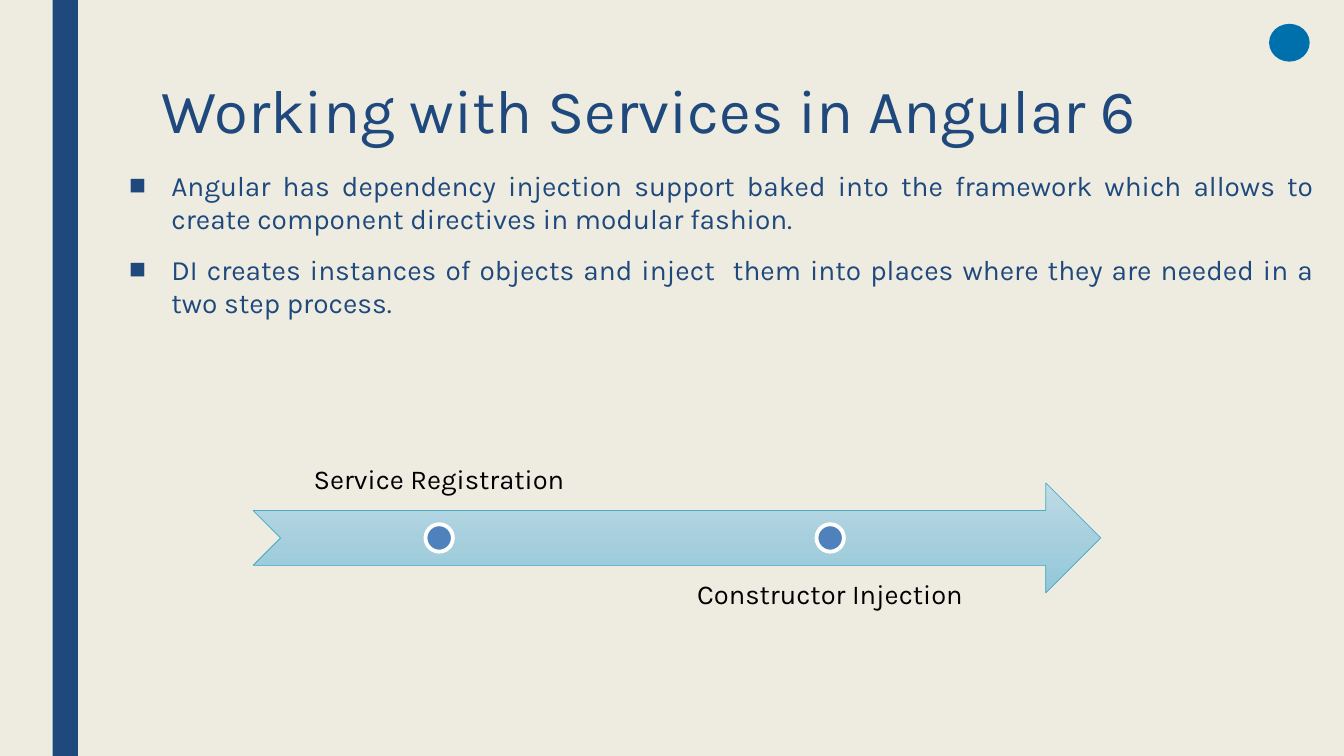
from copy import deepcopy

from lxml import etree
from pptx import Presentation
from pptx.dml.color import RGBColor
from pptx.enum import shapes, text
from pptx.oxml.ns import qn
from pptx.util import Pt

FONT = "Karla"
NAVY = "1F497D"
POINTS = [
    "Angular has dependency injection support baked into the framework "
    "which allows to create component directives in modular fashion.",
    "DI creates instances of objects and inject  them into places where "
    "they are needed in a two step process.",
]
ARROW_TOP, ARROW_HEIGHT = 345, 78.5
ARROW_COLORS = ("C0DCE7", "A7CFDD", "92C8DA")
# Step, centre of its marker, top and anchor of its label
STEPS = [
    ("Service Registration", 313.7, 286, text.MSO_ANCHOR.BOTTOM),
    ("Constructor Injection", 593, 404, text.MSO_ANCHOR.TOP),
]


def rgb(value):
    return RGBColor.from_string(value)


def place(shape, left, top, width, height):
    shape.left, shape.top = Pt(left), Pt(top)
    shape.width, shape.height = Pt(width), Pt(height)


def style(paragraph, size, color, align):
    paragraph.font.name = FONT
    paragraph.font.size = Pt(size)
    paragraph.font.color.rgb = rgb(color)
    paragraph.alignment = align


def add_shape(slide, kind, box, fill=None, line=None, line_width=0):
    shape = slide.shapes.add_shape(kind, *map(Pt, box))
    shape.shadow.inherit = False
    if fill:
        shape.fill.solid()
        shape.fill.fore_color.rgb = rgb(fill)
    if line:
        shape.line.color.rgb = rgb(line)
        shape.line.width = Pt(line_width)
    else:
        shape.line.fill.background()
    return shape


def add_bullet(paragraph, indent):
    """Give the paragraph a square bullet with a hanging indent."""
    props = paragraph._p.get_or_add_pPr()
    props.set("marL", str(Pt(indent)))
    props.set("indent", str(-Pt(indent)))
    etree.SubElement(props, qn("a:buFont")).set("typeface", "Arial")
    etree.SubElement(props, qn("a:buChar")).set("char", "■")


def fill_title(title, wording):
    place(title, 108, 54, 756, 116.5)
    frame = title.text_frame
    frame.text = wording
    frame.auto_size = text.MSO_AUTO_SIZE.NONE
    frame.vertical_anchor = text.MSO_ANCHOR.TOP
    style(frame.paragraphs[0], 44, NAVY, text.PP_ALIGN.LEFT)
    frame.paragraphs[0].line_spacing = 0.89


def fill_body(body, points):
    place(body, 85, 116.5, 861, 366)
    frame = body.text_frame
    frame.text = "\n".join(points)
    frame.auto_size = text.MSO_AUTO_SIZE.NONE
    for paragraph in frame.paragraphs:
        style(paragraph, 20, NAVY, text.PP_ALIGN.JUSTIFY)
        paragraph.space_before, paragraph.space_after = Pt(10), Pt(2)
        add_bullet(paragraph, 30.2)


def fill_gradient(shape, colors):
    """Spread the colours evenly from top to bottom."""
    shape.fill.gradient()
    shape.fill.gradient_angle = 270
    stops = shape._element.spPr.find(qn("a:gradFill")).find(qn("a:gsLst"))
    while len(stops) < len(colors):
        stops.append(deepcopy(stops[0]))
    for i, (stop, color) in enumerate(zip(shape.fill.gradient_stops, colors)):
        stop.position = i / (len(colors) - 1)
        stop.color.rgb = rgb(color)


def add_timeline_arrow(slide):
    arrow = add_shape(slide, shapes.MSO_SHAPE.NOTCHED_RIGHT_ARROW,
                      (180.8, ARROW_TOP, 605.5, ARROW_HEIGHT),
                      line="4BACC6", line_width=0.5)
    fill_gradient(arrow, ARROW_COLORS)


def add_step(slide, name, center, label_top, anchor):
    width, dot = 265.6, 19.6
    label = slide.shapes.add_textbox(Pt(center - width / 2), Pt(label_top),
                                     Pt(width), Pt(ARROW_HEIGHT))
    frame = label.text_frame
    frame.text = name
    frame.word_wrap = True
    frame.vertical_anchor = anchor
    frame.margin_left = frame.margin_right = Pt(11.5)
    frame.margin_top = frame.margin_bottom = Pt(11.5)
    style(frame.paragraphs[0], 19.5, "000000", text.PP_ALIGN.CENTER)
    frame.paragraphs[0].line_spacing = 0.9

    dot_top = ARROW_TOP + (ARROW_HEIGHT - dot) / 2
    add_shape(slide, shapes.MSO_SHAPE.OVAL,
              (center - dot / 2, dot_top, dot, dot),
              "4F81BD", "FFFFFF", 2.75)


def main():
    deck = Presentation()
    deck.slide_width, deck.slide_height = Pt(960), Pt(540)
    slide = deck.slides.add_slide(deck.slide_layouts[1])
    slide.background.fill.solid()
    slide.background.fill.fore_color.rgb = rgb("EEECE1")

    add_shape(slide, shapes.MSO_SHAPE.RECTANGLE, (37.6, 0, 18, 540), NAVY)
    add_shape(slide, shapes.MSO_SHAPE.OVAL, (906.5, 17, 29, 27), "0070AD")
    fill_title(slide.shapes.title, "Working with Services in Angular 6")
    fill_body(slide.placeholders[1], POINTS)
    add_timeline_arrow(slide)
    for step in STEPS:
        add_step(slide, *step)
    deck.save("out.pptx")


if __name__ == "__main__":
    main()
